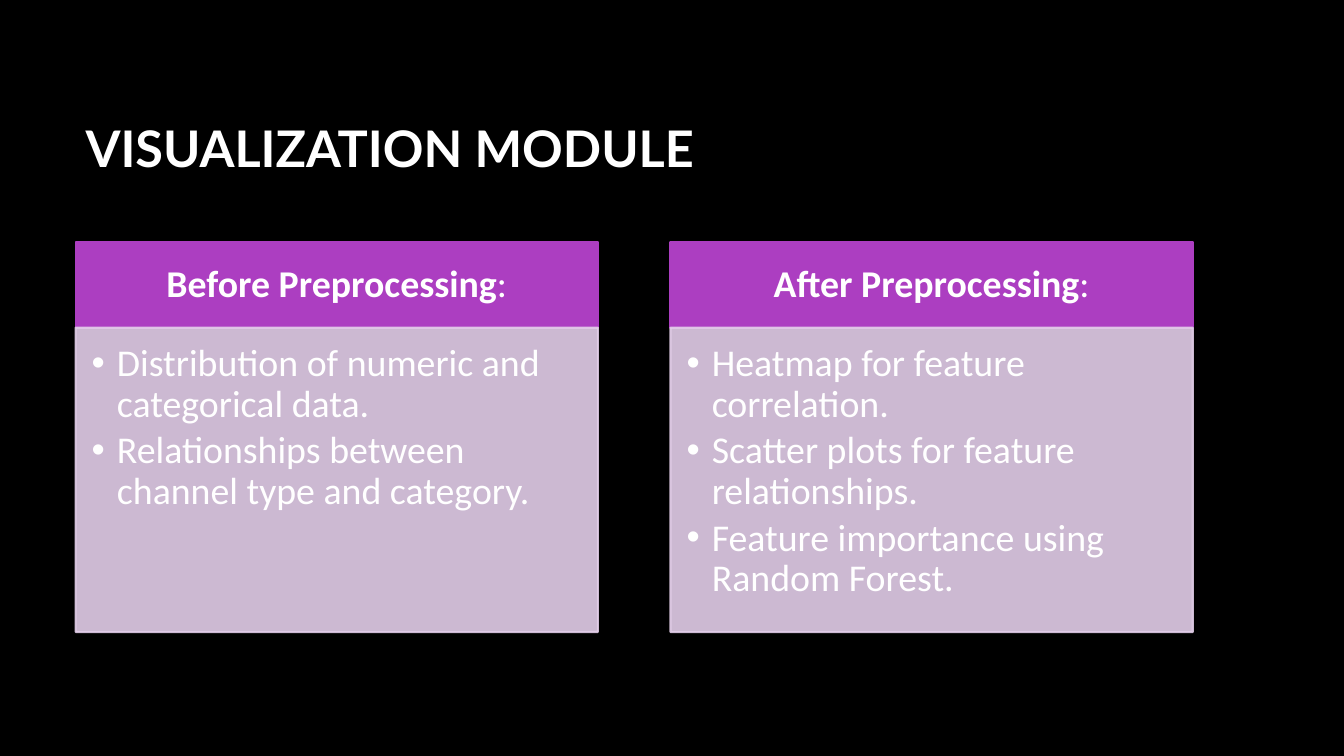
from dataclasses import dataclass

from lxml.etree import SubElement
from pptx import Presentation
from pptx.dml.color import RGBColor
from pptx.enum.shapes import MSO_SHAPE
from pptx.enum.text import MSO_ANCHOR, PP_ALIGN
from pptx.oxml.ns import qn
from pptx.util import Inches, Pt

TITLE = "VISUALIZATION MODULE"
COLUMNS = [
    ("Before Preprocessing", [
        "Distribution of numeric and categorical data.",
        "Relationships between channel type and category.",
    ]),
    ("After Preprocessing", [
        "Heatmap for feature correlation.",
        "Scatter plots for feature relationships.",
        "Feature importance using Random Forest.",
    ]),
]


@dataclass(frozen=True)
class Theme:
    background: RGBColor = RGBColor(0x00, 0x00, 0x00)
    text: RGBColor = RGBColor(0xFF, 0xFF, 0xFF)
    header: RGBColor = RGBColor(0xAC, 0x3E, 0xC1)
    panel: RGBColor = RGBColor(0xE3, 0xCE, 0xE9)
    panel_opacity: int = 90
    title_font: str = "Lato"
    body_font: str = "Calibri"
    title_size: int = 36
    body_size: int = 27
    outline: float = 1.5


THEME = Theme()
LEFT, CONTENT_WIDTH = 0.75, 11.08
TITLE_TOP, TITLE_HEIGHT = 0.67, 1.59
COLUMN_WIDTH = 5.18
COLUMN_STEP = (CONTENT_WIDTH - COLUMN_WIDTH) / (len(COLUMNS) - 1)
HEADER_TOP, HEADER_HEIGHT = 2.4, 0.85
PANEL_TOP, PANEL_HEIGHT = HEADER_TOP + HEADER_HEIGHT, 3.02
HEADER_INSETS = (0.21, 0.12, 0.21, 0.12)
PANEL_INSETS = (0.16, 0.16, 0.21, 0.24)
BULLET_INDENT = 0.25


def add_run(paragraph, text, font_name, size, bold=False):
    run = paragraph.add_run()
    run.text = text
    run.font.name = font_name
    run.font.size = Pt(size)
    run.font.bold = bold
    run.font.color.rgb = THEME.text


def add_box(slide, left, top, height, color, insets, anchor, opacity=100):
    shape = slide.shapes.add_shape(
        MSO_SHAPE.RECTANGLE, Inches(left), Inches(top), Inches(COLUMN_WIDTH), Inches(height))
    shape.shadow.inherit = False
    shape.line.width = Pt(THEME.outline)
    for fill in (shape.fill, shape.line.fill):
        fill.solid()
        fill.fore_color.rgb = color
    if opacity < 100:
        for color_element in shape._element.spPr.iter(qn("a:srgbClr")):
            SubElement(color_element, qn("a:alpha"), val=str(opacity * 1000))
    frame = shape.text_frame
    frame.word_wrap = True
    frame.vertical_anchor = anchor
    frame.margin_left, frame.margin_top, frame.margin_right, frame.margin_bottom = map(Inches, insets)
    return frame


def add_title(slide):
    box = slide.shapes.add_textbox(
        Inches(LEFT), Inches(TITLE_TOP), Inches(CONTENT_WIDTH), Inches(TITLE_HEIGHT))
    frame = box.text_frame
    frame.word_wrap = True
    frame.vertical_anchor = MSO_ANCHOR.MIDDLE
    add_run(frame.paragraphs[0], TITLE, THEME.title_font, THEME.title_size, bold=True)


def add_header(slide, left, heading):
    frame = add_box(slide, left, HEADER_TOP, HEADER_HEIGHT, THEME.header,
                    HEADER_INSETS, MSO_ANCHOR.MIDDLE)
    paragraph = frame.paragraphs[0]
    paragraph.alignment = PP_ALIGN.CENTER
    paragraph.line_spacing = 0.9
    add_run(paragraph, heading, THEME.body_font, THEME.body_size, bold=True)
    add_run(paragraph, ":", THEME.body_font, THEME.body_size)


def add_panel(slide, left, points):
    frame = add_box(slide, left, PANEL_TOP, PANEL_HEIGHT, THEME.panel,
                    PANEL_INSETS, MSO_ANCHOR.TOP, THEME.panel_opacity)
    for index, point in enumerate(points):
        paragraph = frame.add_paragraph() if index else frame.paragraphs[0]
        properties = paragraph._p.get_or_add_pPr()
        properties.set("marL", str(Inches(BULLET_INDENT)))
        properties.set("indent", str(-Inches(BULLET_INDENT)))
        SubElement(properties, qn("a:buFont"), typeface="Arial")
        SubElement(properties, qn("a:buChar"), char="•")
        paragraph.alignment = PP_ALIGN.LEFT
        paragraph.line_spacing = 0.9
        paragraph.space_after = Pt(4)
        add_run(paragraph, point, THEME.body_font, THEME.body_size)


def main():
    presentation = Presentation()
    presentation.slide_width = Inches(13.33)
    presentation.slide_height = Inches(7.5)
    slide = presentation.slides.add_slide(presentation.slide_layouts[6])
    slide.background.fill.solid()
    slide.background.fill.fore_color.rgb = THEME.background
    add_title(slide)
    for index, (heading, points) in enumerate(COLUMNS):
        left = LEFT + index * COLUMN_STEP
        add_header(slide, left, heading)
        add_panel(slide, left, points)
    presentation.save("out.pptx")


if __name__ == "__main__":
    main()
